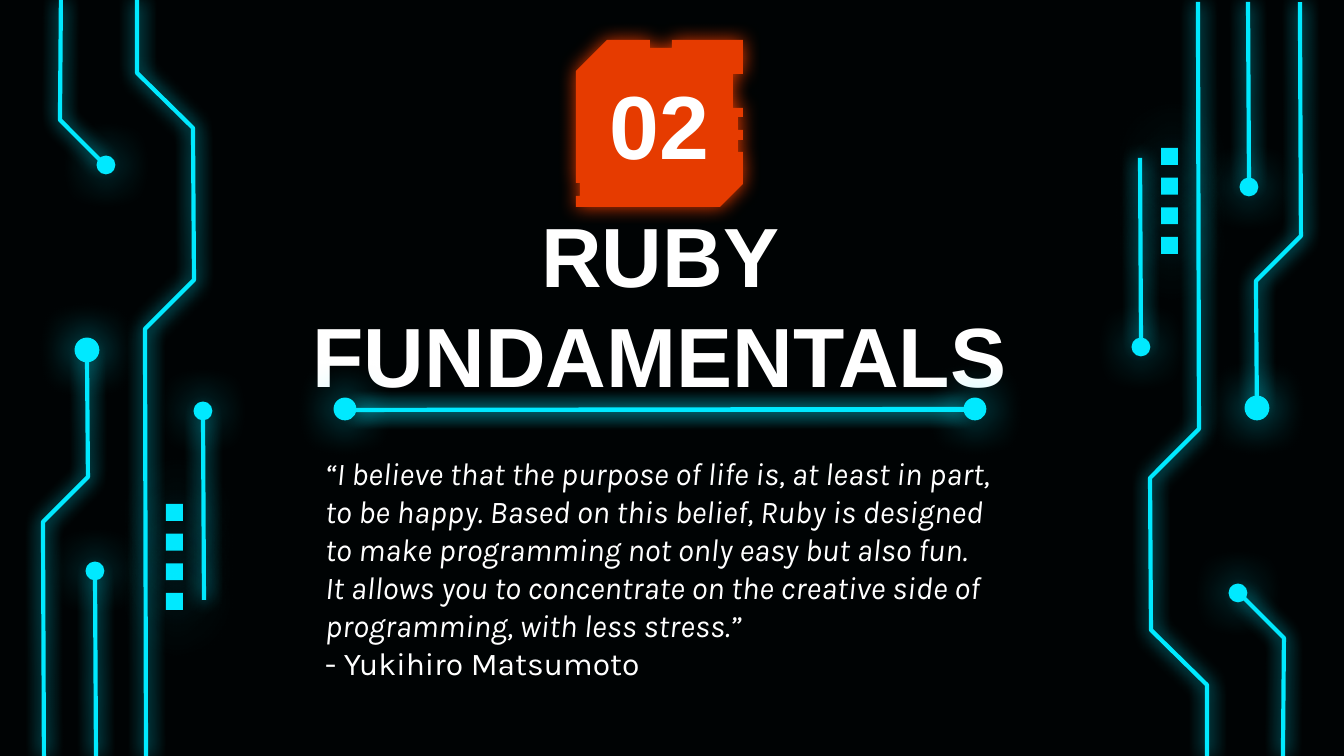
import pptx
import pptx.util
import pptx.dml.color
import pptx.enum.shapes
import pptx.enum.text
import pptx.oxml.ns
import lxml.etree

# Content: text
NUMBER = "02"
TITLE = "RUBY FUNDAMENTALS"
QUOTE = ("“I believe that the purpose of life is, at least in part, to be happy. "
         "Based on this belief, Ruby is designed to make programming not only easy "
         "but also fun. It allows you to concentrate on the creative side of "
         "programming, with less stress.”")
AUTHOR = "- Yukihiro Matsumoto"

# Content: colours
BLACK, CYAN, ORANGE, WHITE = "000304", "00E9FF", "E63B00", "FFFFFF"

# Content: left-hand circuit in px; the right-hand one is the same turned by 180 degrees
WIDTH, HEIGHT = 1344, 756
TURN_X, TURN_Y = 1344, 758
TRACES = [
    [(137, 0), (137, 73), (193, 128), (194, 280), (145, 329), (146, 756)],
    [(96, 756), (95, 571)],
    [(61, 0), (60, 120), (105, 165)],
    [(44, 756), (43, 522), (88, 477), (87, 350)],
    [(204, 600), (203, 411)],
]
DOTS = [(87, 350, 22), (106, 165, 16), (203, 411, 16), (95, 571, 16)]
SQUARE_SIZE, SQUARE_LEFT, SQUARE_FIRST, SQUARE_LAST, SQUARE_COUNT = 17, 166, 504, 593, 4

BADGE = [
    (607, 40), (576, 71), (576, 183), (580, 183), (580, 196), (576, 196), (576, 207),
    (720, 207), (743, 184), (743, 152), (738, 152), (738, 140), (743, 140), (743, 130),
    (738, 130), (738, 117), (743, 117), (743, 108), (733, 108), (733, 74), (743, 74),
    (743, 40), (672, 40), (672, 48), (650, 48), (650, 40),
]

# Content: divider under the title
DIVIDER_START, DIVIDER_ENDS = (355, 410), [(965, 409), (965, 410)]
DIVIDER_DOTS = [(345, 409, 20), (975, 409, 20)]


def px(length):
    return pptx.util.Emu(round(length * 914400 / 134.4))


def rgb(color):
    return pptx.dml.color.RGBColor.from_string(color)


def glow(item, color, blur, distance=0, alpha=100):
    properties = item._element.spPr
    effects = properties.find(pptx.oxml.ns.qn("a:effectLst"))
    if effects is None:
        effects = lxml.etree.SubElement(properties, pptx.oxml.ns.qn("a:effectLst"))
    shadow = lxml.etree.SubElement(
        effects, pptx.oxml.ns.qn("a:outerShdw"), blurRad=str(pptx.util.Pt(blur)),
        dist=str(pptx.util.Pt(distance)), dir="0", algn="bl", rotWithShape="0")
    tint = lxml.etree.SubElement(shadow, pptx.oxml.ns.qn("a:srgbClr"), val=color)
    lxml.etree.SubElement(tint, pptx.oxml.ns.qn("a:alpha"), val=str(alpha * 1000))


def stroke(item, width):
    item.line.color.rgb = rgb(CYAN)
    item.line.width = pptx.util.Pt(width)


def paint(shape, color):
    shape.shadow.inherit = False
    shape.fill.solid()
    shape.fill.fore_color.rgb = rgb(color)
    shape.line.fill.background()


def add_outline(slide, points, close):
    corners = [(px(x), px(y)) for x, y in points]
    builder = slide.shapes.build_freeform(*corners[0])
    builder.add_line_segments(corners[1:], close=close)
    return builder.convert_to_shape()


def add_trace(slide, points):
    trace = add_outline(slide, points, False)
    trace.shadow.inherit = False
    trace.fill.background()
    stroke(trace, 2.25)
    glow(trace, CYAN, 10.1)


def add_dot(slide, x, y, size):
    dot = slide.shapes.add_shape(pptx.enum.shapes.MSO_SHAPE.OVAL, px(x - size / 2),
                                 px(y - size / 2), px(size), px(size))
    paint(dot, CYAN)
    stroke(dot, 1.5)
    glow(dot, CYAN, 22.5)


def add_square(slide, x, y):
    square = slide.shapes.add_shape(pptx.enum.shapes.MSO_SHAPE.RECTANGLE, px(x), px(y),
                                    px(SQUARE_SIZE), px(SQUARE_SIZE))
    paint(square, CYAN)
    glow(square, CYAN, 36, 1.5, 70)


def add_text(slide, lines, *, at, size, font, bold=False, italics=(False,),
             align="LEFT", anchor="TOP", spacing=None):
    box = slide.shapes.add_textbox(*[px(length) for length in at])
    frame = box.text_frame
    frame.word_wrap = True
    frame.vertical_anchor = pptx.enum.text.MSO_ANCHOR[anchor]
    frame.margin_left = frame.margin_right = pptx.util.Inches(0.1)
    frame.margin_top = frame.margin_bottom = pptx.util.Inches(0.1)
    for index, (text, italic) in enumerate(zip(lines, italics)):
        para = frame.add_paragraph() if index else frame.paragraphs[0]
        para.alignment = pptx.enum.text.PP_ALIGN[align]
        if spacing:
            para.line_spacing = pptx.util.Pt(spacing)
        span = para.add_run()
        span.text = text
        span.font.name = font
        span.font.size = pptx.util.Pt(size)
        span.font.bold = bold
        span.font.italic = italic
        span.font.color.rgb = rgb(WHITE)


def add_circuit(slide, turned):
    def place(x, y, size=0):
        if not turned:
            return x, y
        return TURN_X - x - size, min(TURN_Y - y - size, HEIGHT)

    for points in TRACES:
        add_trace(slide, [place(x, y) for x, y in points])
    for x, y, size in DOTS:
        add_dot(slide, *place(x, y), size)
    pitch = (SQUARE_LAST - SQUARE_FIRST) / (SQUARE_COUNT - 1)
    for index in range(SQUARE_COUNT):
        add_square(slide, *place(SQUARE_LEFT, SQUARE_FIRST + index * pitch, SQUARE_SIZE))


def main():
    deck = pptx.Presentation()
    deck.slide_width, deck.slide_height = px(WIDTH), px(HEIGHT)
    slide = deck.slides.add_slide(deck.slide_layouts[6])
    slide.background.fill.solid()
    slide.background.fill.fore_color.rgb = rgb(BLACK)

    # Circuits on both sides
    for turned in (False, True):
        add_circuit(slide, turned)

    # Number badge
    badge = add_outline(slide, BADGE, True)
    paint(badge, ORANGE)
    glow(badge, ORANGE, 10.1)

    # Texts
    add_text(slide, [TITLE], at=(212, 254, 895, 100), size=45, font="Arial", bold=True,
             align="CENTER", anchor="MIDDLE", spacing=54)
    add_text(slide, [QUOTE, AUTHOR], at=(312, 440, 695, 262), size=17, font="Karla",
             italics=(True, False), spacing=20.4)
    add_text(slide, [NUMBER], at=(312, 63, 695, 121), size=48, font="Arial", bold=True,
             align="CENTER", anchor="MIDDLE")

    # Divider
    for end in DIVIDER_ENDS:
        line = slide.shapes.add_connector(
            pptx.enum.shapes.MSO_CONNECTOR.STRAIGHT,
            *[px(length) for length in DIVIDER_START + end])
        stroke(line, 2.25)
        glow(line, CYAN, 10.1)
    for x, y, size in DIVIDER_DOTS:
        add_dot(slide, x, y, size)

    deck.save("out.pptx")


if __name__ == "__main__":
    main()
